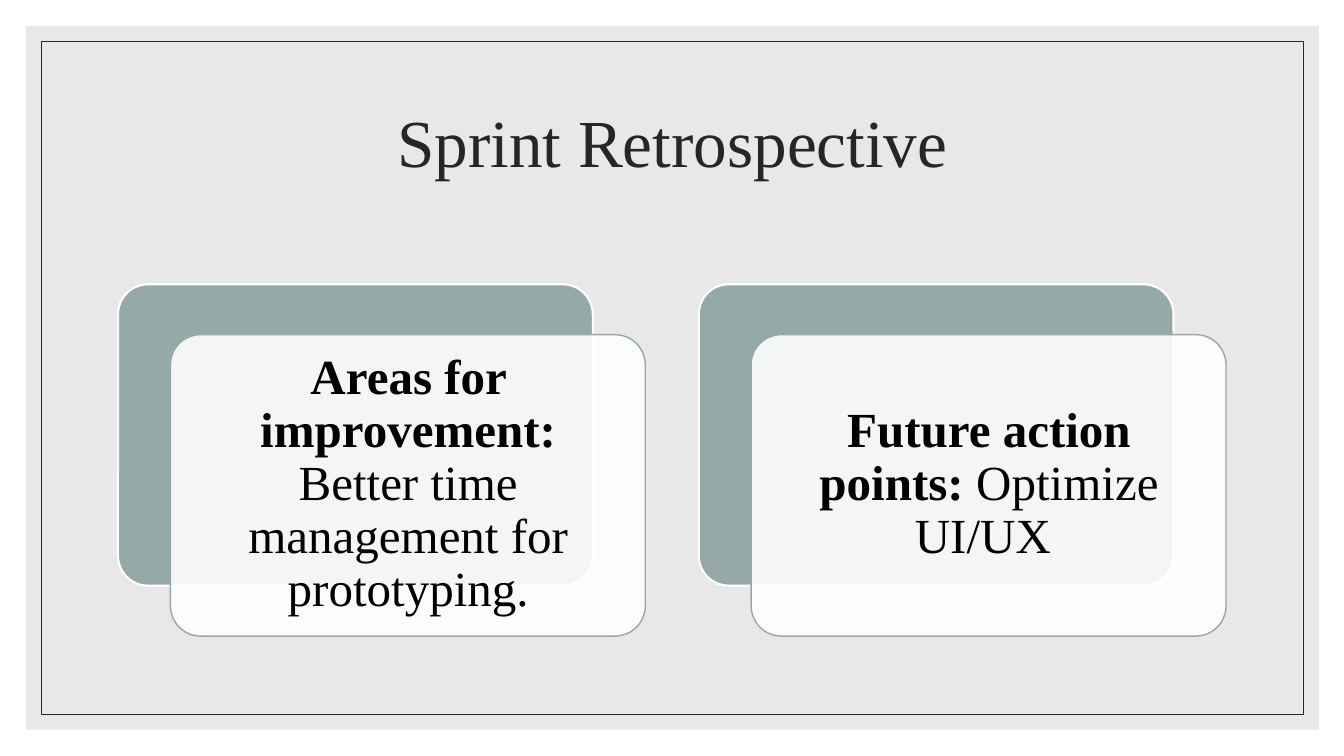
import pptx
import pptx.dml.color
import pptx.enum.shapes
import pptx.enum.text
import pptx.oxml
import pptx.oxml.ns
import pptx.util
from pptx.util import Inches

FONT = "Times New Roman"
SAGE, WHITE, INK, BLACK = "96A9A9", "FFFFFF", "262626", "000000"
CARD_SIZE = (4.71, 2.99)
CARD_TOP, CARD_LEFT, CARD_PITCH = 2.82, 1.17, 5.76
CARDS = [
    ("Areas for improvement:", " Better time management for prototyping."),
    ("Future action points:", " Optimize UI/UX "),
]


def set_color(color_format, value):
    """Set a colour from a hex string."""
    color_format.rgb = pptx.dml.color.RGBColor.from_string(value)


def add_panel(slide, box, fill=None, opacity=100, line=None, width=1, rounding=None):
    """Add a plain or rounded rectangle with optional fill and outline."""
    kinds = pptx.enum.shapes.MSO_SHAPE
    kind = kinds.RECTANGLE if rounding is None else kinds.ROUNDED_RECTANGLE
    shape = slide.shapes.add_shape(kind, *map(Inches, box))
    shape.shadow.inherit = False
    if rounding is not None:
        shape.adjustments[0] = rounding
    if fill is None:
        shape.fill.background()
    else:
        shape.fill.solid()
        set_color(shape.fill.fore_color, fill)
    if opacity < 100:
        color = shape.fill._xPr.find(".//" + pptx.oxml.ns.qn("a:srgbClr"))
        alpha = pptx.oxml.parse_xml(f'<a:alpha {pptx.oxml.ns.nsdecls("a")} val="{opacity * 1000}"/>')
        color.append(alpha)
    if line is None:
        shape.line.fill.background()
    else:
        set_color(shape.line.color, line)
        shape.line.width = pptx.util.Pt(width)


def add_text(slide, box, runs, size, color, inset):
    """Add a centred text box from (text, bold) runs."""
    frame = slide.shapes.add_textbox(*map(Inches, box)).text_frame
    frame.word_wrap = True
    frame.vertical_anchor = pptx.enum.text.MSO_ANCHOR.MIDDLE
    for side in ("left", "top", "right", "bottom"):
        setattr(frame, f"margin_{side}", Inches(inset))
    paragraph = frame.paragraphs[0]
    paragraph.alignment = pptx.enum.text.PP_ALIGN.CENTER
    paragraph.line_spacing = 0.9
    for text, bold in runs:
        run = paragraph.add_run()
        run.text = text
        run.font.name = FONT
        run.font.size = pptx.util.Pt(size)
        run.font.bold = bold
        set_color(run.font.color, color)


def add_card(slide, left, heading, detail):
    """Add a sage card with a translucent text card offset in front."""
    add_panel(slide, (left, CARD_TOP, *CARD_SIZE), SAGE, line=WHITE, width=1.5, rounding=0.1)
    add_panel(slide, (left + 0.52, CARD_TOP + 0.5, *CARD_SIZE), WHITE, 90, SAGE, rounding=0.1)
    text_box = (left + 0.61, CARD_TOP + 0.58, 4.54, 2.82)
    add_text(slide, text_box, [(heading, True), (detail, False)], 35, BLACK, 0.15)


def main():
    """Build the sprint retrospective slide."""
    presentation = pptx.Presentation()
    presentation.slide_width = Inches(13.33)
    presentation.slide_height = Inches(7.5)
    slide = presentation.slides.add_slide(presentation.slide_layouts[6])
    add_panel(slide, (0, 0, 13.33, 7.5), WHITE)
    add_panel(slide, (0.26, 0.26, 12.82, 6.98), "D9D9D9", 60)
    add_panel(slide, (0.41, 0.41, 12.52, 6.68), line=INK, width=0.5)
    add_text(slide, (1.17, 0.7, 11, 1.5), [("Sprint Retrospective", False)], 48, INK, 0.05)
    for index, (heading, detail) in enumerate(CARDS):
        add_card(slide, CARD_LEFT + index * CARD_PITCH, heading, detail)
    presentation.save("out.pptx")


if __name__ == "__main__":
    main()
